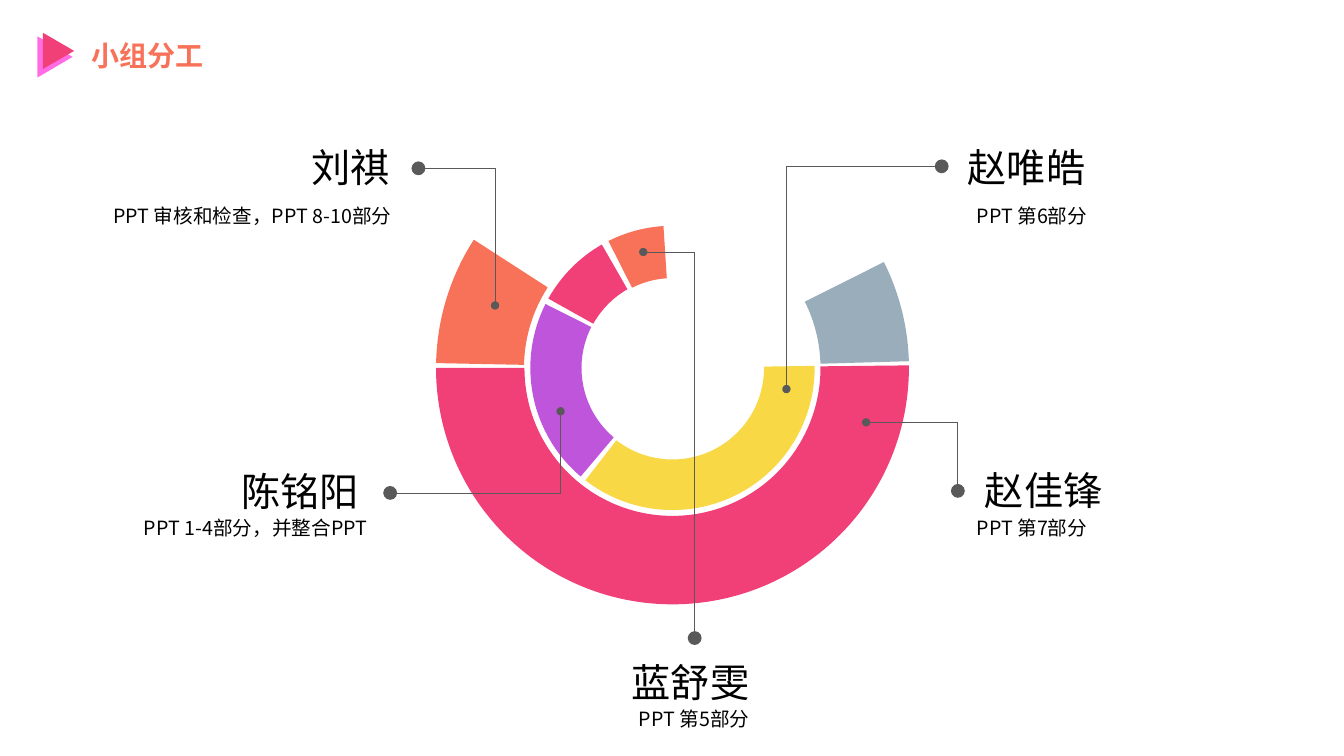
from dataclasses import dataclass

import lxml.etree
import pptx
import pptx.dml.color
import pptx.enum.shapes
import pptx.enum.text
import pptx.oxml
import pptx.oxml.ns
import pptx.util

Inches = pptx.util.Inches
SHAPE = pptx.enum.shapes.MSO_SHAPE
ALIGN = pptx.enum.text.PP_ALIGN
qn = pptx.oxml.ns.qn

FONT = "Noto Sans CJK SC"
COLORS = {
    "black": "000000",
    "gray": "595959",
    "orange": "F77258",
    "pink": "F04077",
    "magenta": "FF6CE4",
    "purple": "BF55DB",
    "yellow": "F8D845",
    "steel": "99AEBA",
}
CENTER_X, CENTER_Y = 6.67, 3.65
OUTER, INNER = 4.69, 2.82


@dataclass
class Arc:
    diameter: float
    start: float
    end: float
    thickness: float
    color: str


@dataclass
class Triangle:
    left: float
    top: float
    width: float
    height: float
    color: str


@dataclass
class Label:
    text: str
    left: float
    top: float
    width: float
    align: ALIGN


@dataclass
class Member:
    name: Label
    task: Label
    leader: tuple[tuple[float, float], ...]


ARCS = [
    Arc(OUTER, 359.38, 180, 0.187, "pink"),
    Arc(INNER, 130.21, 206.73, 0.18, "purple"),
    Arc(INNER, 359.17, 127.75, 0.178, "yellow"),
    Arc(INNER, 209.19, 240.21, 0.181, "pink"),
    Arc(OUTER, 181.17, 212.84, 0.186, "orange"),
    Arc(OUTER, 333.39, 358.37, 0.187, "steel"),
    Arc(INNER, 243.23, 266.37, 0.184, "orange"),
]
TRIANGLES = [
    Triangle(0.34, 0.39, 0.41, 0.35, "magenta"),
    Triangle(0.4, 0.35, 0.36, 0.31, "pink"),
]
MEMBERS = [
    Member(
        Label("赵佳锋", 9.67, 4.58, 1.38, ALIGN.LEFT),
        Label("PPT 第7部分", 9.59, 5.07, 2.45, ALIGN.LEFT),
        ((8.59, 4.19), (9.5, 4.19), (9.5, 4.87)),
    ),
    Member(
        Label("赵唯皓", 9.5, 1.37, 1.38, ALIGN.LEFT),
        Label("PPT 第6部分", 9.59, 1.97, 2.45, ALIGN.LEFT),
        ((7.8, 3.86), (7.8, 1.65), (9.34, 1.65)),
    ),
    Member(
        Label("刘祺", 2.97, 1.37, 0.99, ALIGN.RIGHT),
        Label("PPT 审核和检查，PPT 8-10部分", 0.73, 1.97, 3.25, ALIGN.RIGHT),
        ((4.91, 3.03), (4.91, 1.67), (4.15, 1.67)),
    ),
    Member(
        Label("陈铭阳", 2.28, 4.59, 1.38, ALIGN.RIGHT),
        Label("PPT 1-4部分，并整合PPT", 1.29, 5.07, 2.45, ALIGN.RIGHT),
        ((5.56, 4.08), (5.56, 4.89), (3.87, 4.89)),
    ),
    Member(
        Label("蓝舒雯", 6.15, 6.48, 1.38, ALIGN.RIGHT),
        Label("PPT 第5部分", 5.66, 6.96, 2.45, ALIGN.CENTER),
        ((6.38, 2.5), (6.89, 2.5), (6.89, 6.33)),
    ),
]


def rgb(color: str) -> pptx.dml.color.RGBColor:
    return pptx.dml.color.RGBColor.from_string(COLORS[color])


def write(tf, text: str, size: int, color: str, align: ALIGN, bold: bool = False) -> None:
    p = tf.paragraphs[0]
    p.text = text
    p.alignment = align
    font = p.font
    font.size = pptx.util.Pt(size)
    font.bold = bold
    font.name = FONT
    font.color.rgb = rgb(color)
    props = p._p.pPr.find(qn("a:defRPr"))
    lxml.etree.SubElement(props, qn("a:ea")).set("typeface", FONT)


def add_label(s, label: Label, size: int, height: float, wrap: bool) -> None:
    sp = s.shapes.add_textbox(
        Inches(label.left), Inches(label.top), Inches(label.width), Inches(height)
    )
    tf = sp.text_frame
    tf.word_wrap = wrap
    tf.auto_size = pptx.enum.text.MSO_AUTO_SIZE.SHAPE_TO_FIT_TEXT
    write(tf, label.text, size, "black", label.align)


def add_filled(s, kind, left: float, top: float, width: float, height: float, color: str):
    sp = s.shapes.add_shape(kind, Inches(left), Inches(top), Inches(width), Inches(height))
    sp.shadow.inherit = False
    sp.fill.solid()
    sp.fill.fore_color.rgb = rgb(color)
    sp.line.fill.background()
    return sp


def add_arc(s, arc: Arc) -> None:
    radius = arc.diameter / 2
    sp = add_filled(
        s, SHAPE.BLOCK_ARC, CENTER_X - radius, CENTER_Y - radius,
        arc.diameter, arc.diameter, arc.color,
    )
    sp.adjustments[0] = arc.start * 0.6
    sp.adjustments[1] = arc.end * 0.6
    sp.adjustments[2] = arc.thickness


def add_segment(s, start: tuple[float, float], end: tuple[float, float],
                dot: str, size: str) -> None:
    line = s.shapes.add_connector(
        pptx.enum.shapes.MSO_CONNECTOR.STRAIGHT, *map(Inches, start + end)
    )
    line.line.color.rgb = rgb("gray")
    line.line.width = pptx.util.Pt(0.5)
    oval = lxml.etree.SubElement(line.line._get_or_add_ln(), qn(dot))
    for key, value in (("type", "oval"), ("w", size), ("len", size)):
        oval.set(key, value)
    lxml.etree.SubElement(line._element.spPr, qn("a:effectLst"))


def add_title(s, text: str) -> None:
    sp = s.shapes.title
    sp.left, sp.top, sp.width, sp.height = map(Inches, (0.81, 0.33, 2.22, 0.44))
    tf = sp.text_frame
    tf.word_wrap = True
    tf.auto_size = pptx.enum.text.MSO_AUTO_SIZE.SHAPE_TO_FIT_TEXT
    tf.vertical_anchor = pptx.enum.text.MSO_ANCHOR.TOP
    write(tf, text, 20, "orange", ALIGN.LEFT, bold=True)


def main() -> None:
    prs = pptx.Presentation()
    prs.slide_width, prs.slide_height = Inches(13.33), Inches(7.5)
    s = prs.slides.add_slide(prs.slide_layouts[5])
    add_title(s, "小组分工")
    for t in TRIANGLES:
        sp = add_filled(
            s, SHAPE.ISOSCELES_TRIANGLE, t.left, t.top, t.width, t.height, t.color
        )
        sp.rotation = 90
    for arc in ARCS:
        add_arc(s, arc)
    for member in MEMBERS:
        start, corner, end = member.leader
        add_segment(s, start, corner, "a:headEnd", "med")
        add_segment(s, corner, end, "a:tailEnd", "lg")
        add_label(s, member.name, 28, 0.57, wrap=False)
        add_label(s, member.task, 14, 0.34, wrap=True)
    prs.save("out.pptx")


if __name__ == "__main__":
    main()
